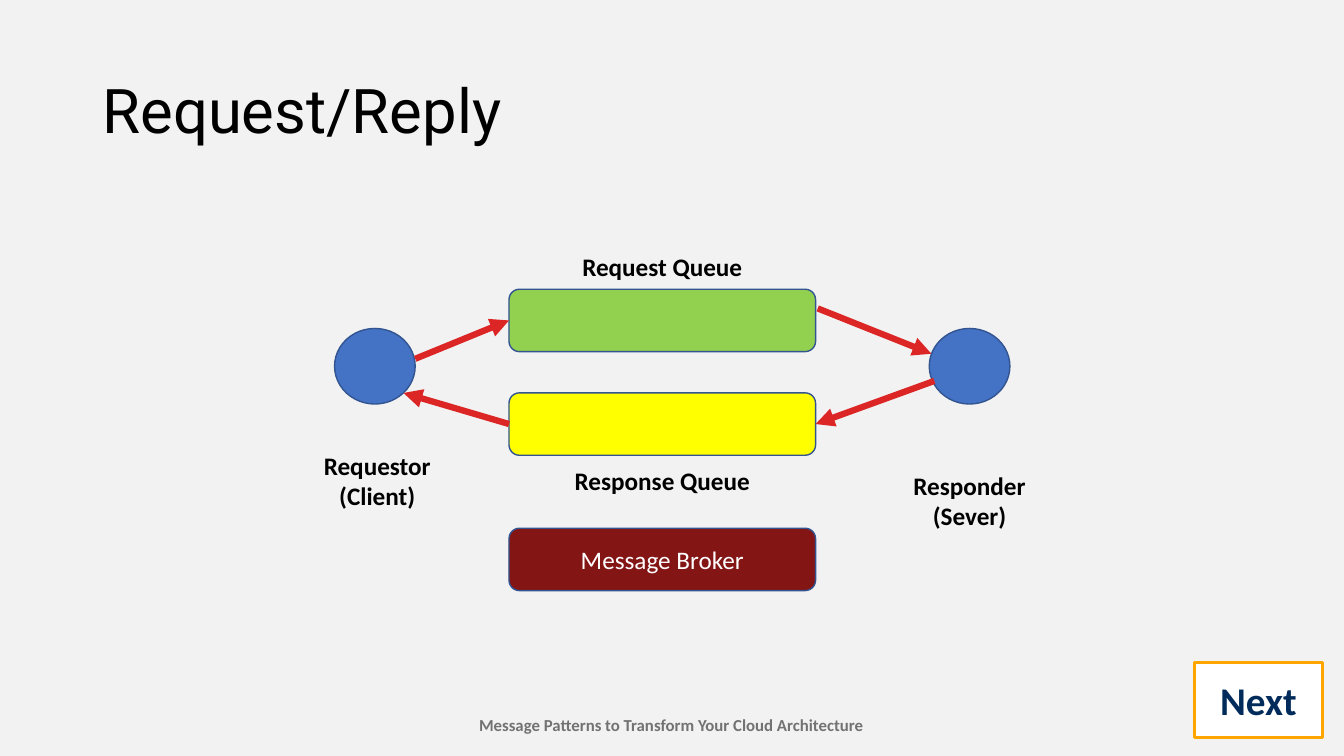
from lxml import etree
from pptx import Presentation
from pptx.dml.color import RGBColor
from pptx.enum.shapes import MSO_CONNECTOR, MSO_SHAPE
from pptx.enum.text import MSO_ANCHOR, MSO_AUTO_SIZE, PP_ALIGN
from pptx.oxml.ns import qn
from pptx.util import Pt

RECT, ROUND, OVAL = MSO_SHAPE.RECTANGLE, MSO_SHAPE.ROUNDED_RECTANGLE, MSO_SHAPE.OVAL
STRAIGHT = MSO_CONNECTOR.STRAIGHT
MIDDLE = MSO_ANCHOR.MIDDLE
GROW = MSO_AUTO_SIZE.SHAPE_TO_FIT_TEXT
LEFT, CENTER = PP_ALIGN.LEFT, PP_ALIGN.CENTER

COLORS = {
    "back": "F2F2F2", "text": "000000", "footer": "727272", "white": "FFFFFF",
    "node": "4472C4", "edge": "325491", "request": "92D050", "response": "FFFF00",
    "broker": "841515", "arrow": "DC2626", "next_edge": "FFA500", "next_text": "002B5B",
}
FORMATS = {
    "title": {"name": "Roboto", "size": Pt(44), "bold": False},
    "label": {"name": "Calibri", "size": Pt(18), "bold": True},
    "broker": {"name": "Calibri", "size": Pt(18), "bold": False},
    "footer": {"name": "Calibri", "size": Pt(12), "bold": True},
    "next": {"name": "Calibri", "size": Pt(28), "bold": True},
}


def rgb(name):
    """Return the named colour."""
    return RGBColor.from_string(COLORS[name])


def write(sp, text, fmt, color="text", align=CENTER):
    """Fill a shape with formatted paragraphs, one per line of text."""
    tf = sp.text_frame
    tf.text = text
    for p in tf.paragraphs:
        p.alignment = align
        for r in p.runs:
            for key, value in FORMATS[fmt].items():
                setattr(r.font, key, value)
            r.font.color.rgb = rgb(color)


def add_box(shapes, kind, box, fill, edge="edge", weight=1):
    """Add a filled and outlined preset shape."""
    sp = shapes.add_shape(kind, *map(Pt, box))
    sp.shadow.inherit = False
    sp.fill.solid()
    sp.fill.fore_color.rgb = rgb(fill)
    sp.line.color.rgb = rgb(edge)
    sp.line.width = Pt(weight)
    sp.text_frame.vertical_anchor = MIDDLE
    return sp


def add_label(shapes, box, text, fmt="label", color="text"):
    """Add a centred text box that grows with its text and does not wrap."""
    sp = shapes.add_textbox(*map(Pt, box))
    sp.text_frame.word_wrap = False
    sp.text_frame.auto_size = GROW
    write(sp, text, fmt, color)


def add_arrow(shapes, start, end):
    """Add a red arrow between two points."""
    sp = shapes.add_connector(STRAIGHT, *map(Pt, start + end))
    sp.line.color.rgb = rgb("arrow")
    sp.line.width = Pt(4.5)
    etree.SubElement(sp.get_or_add_ln(), qn("a:tailEnd"), type="triangle")
    etree.SubElement(sp._element.spPr, qn("a:effectLst"))


def add_title(s, box, text):
    """Place the title placeholder in the box."""
    sp = s.shapes.title
    for key, value in zip(("left", "top", "width", "height"), box):
        setattr(sp, key, Pt(value))
    sp.text_frame.vertical_anchor = MIDDLE
    write(sp, text, "title", align=LEFT)
    sp.text_frame.paragraphs[0].line_spacing = 0.9


def add_node(s, box, text, label_w, dx, dy):
    """Add a round node with a label offset from its centre and top."""
    x, y, w, h = box
    shapes = s.shapes.add_group_shape().shapes
    add_box(shapes, OVAL, box, "node")
    add_label(shapes, (x + (w - label_w) / 2 + dx, y + dy, label_w, 51), text)


def add_queue(s, box, fill, text, label_w, dy):
    """Add a queue bar with a centred label offset from its top."""
    x, y, w, h = box
    shapes = s.shapes.add_group_shape().shapes
    add_box(shapes, ROUND, box, fill)
    add_label(shapes, (x + (w - label_w) / 2, y + dy, label_w, 28.8), text)


def add_diagram(s, box):
    """Draw both nodes, the queues, the broker and the message flow."""
    x, y, w, h = box
    node_w, node_h, bar_w, bar_h = 57.6, 54, 219, 44.6
    bar_x, right = x + 124.6, x + w
    node_y = y + 28
    add_node(s, (x, node_y, node_w, node_h), "Requestor\n(Client)", 92, 1.7, 83.2)
    add_node(s, (right - node_w, node_y, node_w, node_h), "Responder\n(Sever)", 97, 0, 97.8)
    add_queue(s, (bar_x, y, bar_w, bar_h), "request", "Request Queue", 130, -30.8)
    add_queue(s, (bar_x, y + 74, bar_w, bar_h), "response", "Response Queue", 141, 48.4)
    sp = add_box(s.shapes, ROUND, (bar_x, y + h - bar_h, bar_w, bar_h), "broker")
    write(sp, "Message Broker", "broker", "white")

    bar_right = bar_x + bar_w
    request_y, response_y = y + bar_h / 2, y + 74 + bar_h / 2
    for start, end in (
        ((x + node_w, y + 49.7), (bar_x, request_y)),
        ((bar_right + 1.5, y + 13.7), (right - node_w + 1.5, y + 46.1)),
        ((right - node_w + 3.6, y + 65.5), (bar_right, response_y)),
        ((bar_x, response_y), (x + 49.2, y + 74.1)),
    ):
        add_arrow(s.shapes, start, end)


def add_next(s, box):
    """Add the framed Next box."""
    sp = add_box(s.shapes, RECT, box, "white", "next_edge", 2.25)
    write(sp, "Next", "next", "next_text")


def main():
    """Build and save the slide."""
    prs = Presentation()
    prs.slide_width, prs.slide_height = Pt(960), Pt(540)
    s = prs.slides.add_slide(prs.slide_layouts[5])
    s.background.fill.solid()
    s.background.fill.fore_color.rgb = rgb("back")
    add_label(s.shapes, (333.4, 507, 292.3, 21.6),
              "Message Patterns to Transform Your Cloud Architecture", "footer", "footer")
    add_title(s, (66, 28.8, 828, 104.4), "Request/Reply")
    add_diagram(s, (239, 206.6, 482.4, 215.3))
    add_next(s, (853.2, 473, 91.4, 54))
    prs.save("out.pptx")


if __name__ == "__main__":
    main()
